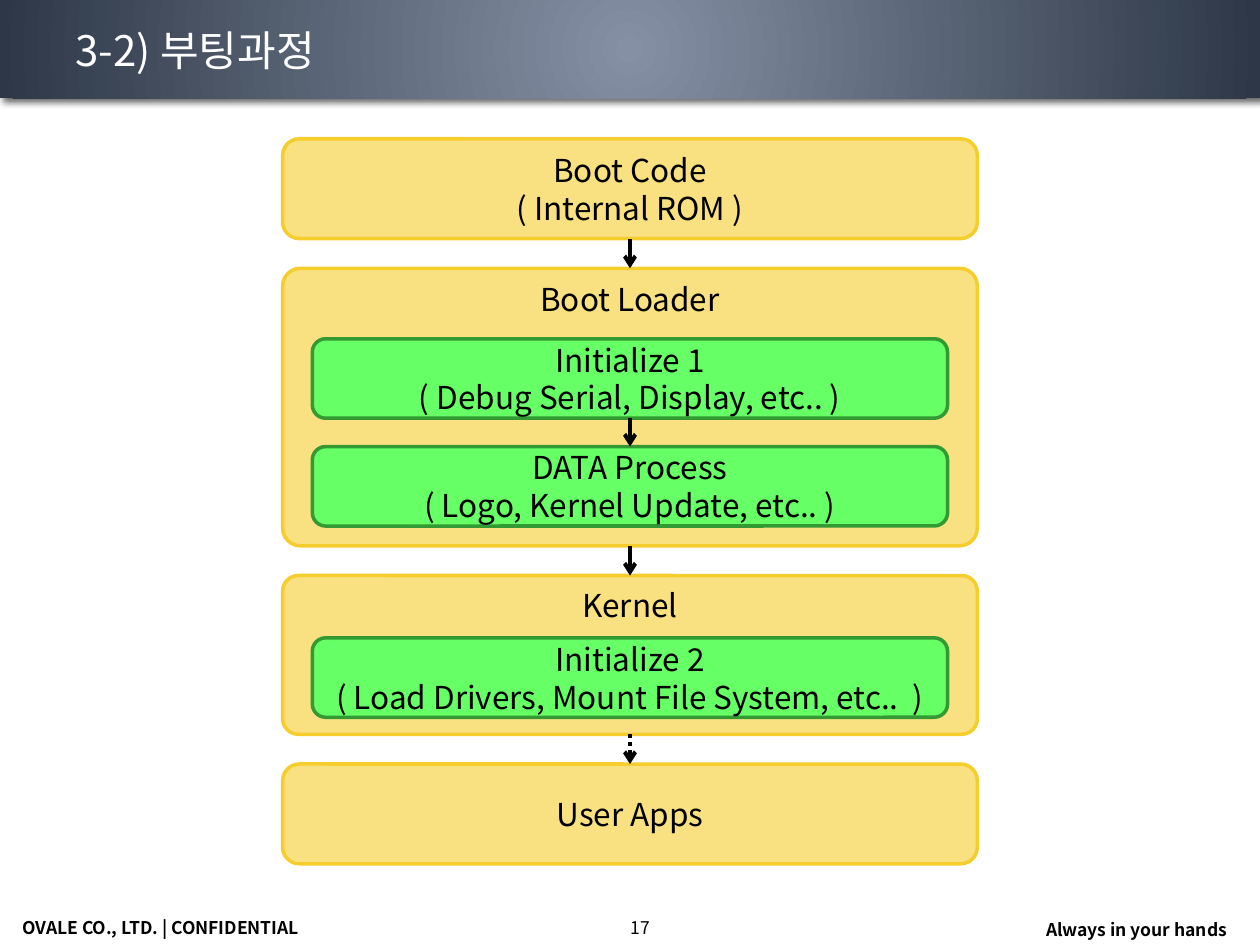
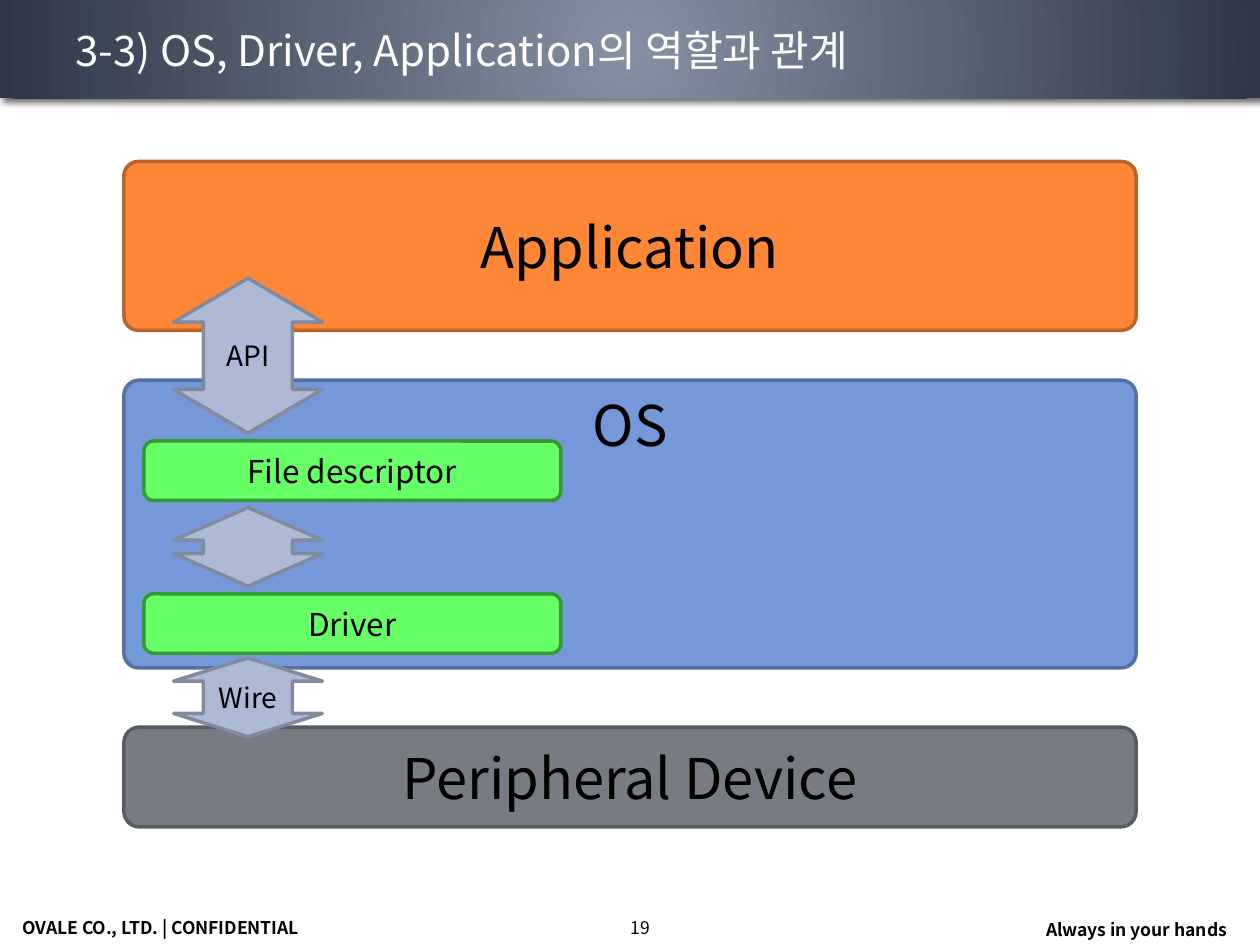
"""Build two slides on the boot process and the layers around an OS."""
from pptx import Presentation
from pptx.dml.color import RGBColor
from pptx.enum.dml import MSO_LINE
from pptx.enum.shapes import MSO_CONNECTOR, MSO_SHAPE
from pptx.enum.text import MSO_ANCHOR, PP_ALIGN
from pptx.oxml import parse_xml
from pptx.oxml.ns import nsdecls, qn
from pptx.util import Pt
from lxml.etree import SubElement

FONT = "Noto Sans CJK KR"
BLACK = RGBColor(0, 0, 0)
WHITE = RGBColor(255, 255, 255)
LIGHT = RGBColor(0x85, 0x90, 0xA4)
DARK = RGBColor(0x2D, 0x37, 0x47)
GOLD = RGBColor(0xF9, 0xE1, 0x81), RGBColor(0xF5, 0xCD, 0x2D)
GREEN = RGBColor(0x66, 0xFF, 0x66), RGBColor(0x33, 0x99, 0x33)
BLUE = RGBColor(0x75, 0x98, 0xD9), RGBColor(0x57, 0x70, 0xA1)
ORANGE = RGBColor(0xFE, 0x86, 0x37), RGBColor(0xBC, 0x63, 0x29)
GRAY = RGBColor(0x77, 0x7C, 0x84), RGBColor(0x58, 0x5C, 0x62)
STEEL = RGBColor(0xAE, 0xBA, 0xD5), RGBColor(0x81, 0x8A, 0x9E)
TOP, MIDDLE = MSO_ANCHOR.TOP, MSO_ANCHOR.MIDDLE
LEFT, CENTER = PP_ALIGN.LEFT, PP_ALIGN.CENTER


def write(shape, text, size, color=BLACK, bold=False, align=CENTER, anchor=MIDDLE):
    """Put styled text in a shape."""
    frame = shape.text_frame
    frame.word_wrap = True
    frame.vertical_anchor = anchor
    frame.text = text
    for para in frame.paragraphs:
        para.alignment = align
        for run in para.runs:
            run.font.name = FONT
            run.font.size = Pt(size)
            run.font.bold = bold
            run.font.color.rgb = color
            SubElement(run.font._element, qn("a:ea"), typeface=FONT)


def block(slide, kind, place, tone, text, size, anchor=MIDDLE, adjust=()):
    """Add a filled, outlined shape with centred text."""
    shape = slide.shapes.add_shape(kind, *map(Pt, place))
    shape.shadow.inherit = False
    shape.fill.solid()
    shape.fill.fore_color.rgb, shape.line.color.rgb = tone
    shape.line.width = Pt(2)
    for index, value in enumerate(adjust):
        shape.adjustments[index] = value
    write(shape, text, size, anchor=anchor)
    return shape


deck = Presentation()
deck.slide_width, deck.slide_height = Pt(720), Pt(540)

slides = []
for title, number in [("3-2) 부팅과정", "17"), ("3-3) OS, Driver, Application의 역할과 관계", "19")]:
    slide = deck.slides.add_slide(deck.slide_layouts[6])
    slides.append(slide)
    band = slide.shapes.add_shape(MSO_SHAPE.RECTANGLE, Pt(-0.5), 0, Pt(720.5), Pt(56.25))
    band.line.fill.background()
    band.fill.gradient()
    for stop, color, spot in zip(band.fill.gradient_stops, (LIGHT, DARK), (0, 1)):
        stop.color.rgb = color
        stop.position = spot
    grad = band._element.spPr.find(qn("a:gradFill"))
    grad.replace(grad.find(qn("a:lin")), parse_xml(
        f'<a:path {nsdecls("a")} path="circle">'
        '<a:fillToRect l="50000" t="50000" r="50000" b="50000"/></a:path>'))
    band._element.spPr.append(parse_xml(
        f'<a:effectLst {nsdecls("a")}><a:outerShdw blurRad="50800" dist="38100" dir="2700000">'
        '<a:srgbClr val="000000"><a:alpha val="60000"/></a:srgbClr></a:outerShdw></a:effectLst>'))

    for place, text, size, color, bold, align, anchor in [
        ((36, 0, 648, 56.6), title, 24, WHITE, False, LEFT, MIDDLE),
        ((590.4, 517, 118, 28.8), "Always in your hands", 10, BLACK, True, CENTER, MIDDLE),
        ((5.8, 520.5, 191.5, 19.4), "OVALE CO., LTD. | CONFIDENTIAL", 10, BLACK, True, LEFT, TOP),
        ((270, 520.5, 191.5, 19.4), number, 10, BLACK, False, CENTER, TOP),
    ]:
        label = slide.shapes.add_textbox(*map(Pt, place))
        write(label, text, size, color, bold, align, anchor)

boot, layers = slides
ROUND, ARROW = MSO_SHAPE.ROUNDED_RECTANGLE, MSO_SHAPE.UP_DOWN_ARROW

top, gap = 79.3, 17
stages, steps = [], []
for text, height, anchor, radius, inner in [
    ("Boot Code\n( Internal ROM )", 57, MIDDLE, 0.167, []),
    ("Boot Loader", 158.6, TOP, 0.064, [
        (40.3, "Initialize 1\n( Debug Serial, Display, etc.. )"),
        (101.9, "DATA Process\v( Logo, Kernel Update, etc.. )")]),
    ("Kernel", 90.7, TOP, 0.098, [
        (35.6, "Initialize 2\n( Load Drivers, Mount File System, etc..  )")]),
    ("User Apps", 57, MIDDLE, 0.167, []),
]:
    stages.append(block(boot, ROUND, (161.5, top, 397, height), GOLD, text, 18, anchor, [radius]))
    for offset, step in inner:
        steps.append(block(boot, ROUND, (178.5, top + offset, 363, 45.4), GREEN, step, 18))
    top += height + gap

for start, end in [*zip(stages, stages[1:]), steps[:2]]:
    link = boot.shapes.add_connector(MSO_CONNECTOR.STRAIGHT, 0, 0, 0, 0)
    link.begin_connect(start, 2)
    link.end_connect(end, 0)
    link.line.color.rgb = BLACK
    link.line.width = Pt(2.25)
    if end is stages[-1]:
        link.line.dash_style = MSO_LINE.ROUND_DOT
    SubElement(link.line._get_or_add_ln(), qn("a:tailEnd"), type="arrow")
    SubElement(link._element.spPr, qn("a:effectLst"))

for text, top, height, tone, anchor, radius in [
    ("OS", 217.3, 164.4, BLUE, TOP, 0.052),
    ("Application", 92.3, 96.5, ORANGE, MIDDLE, 0.085),
    ("Peripheral Device", 415.5, 57, GRAY, MIDDLE, 0.153),
]:
    block(layers, ROUND, (70.8, top, 578.4, height), tone, text, 32, anchor, [radius])

for text, top in [("File descriptor", 252), ("Driver", 339.3)]:
    block(layers, ROUND, (82.2, top, 238.3, 34), GREEN, text, 18)

for text, top, height, head in [
    ("API", 159, 88.6, 0.295), ("", 290, 45, 0.415), ("Wire", 376, 45, 0.295),
]:
    arrow = block(layers, ARROW, (99.2, top, 85, height), STEEL, text, 16, adjust=(0.598, head))
    for index, guide in enumerate(arrow._element.iter(qn("a:gd")), 1):
        guide.set("name", f"adj{index}")

deck.save("out.pptx")
